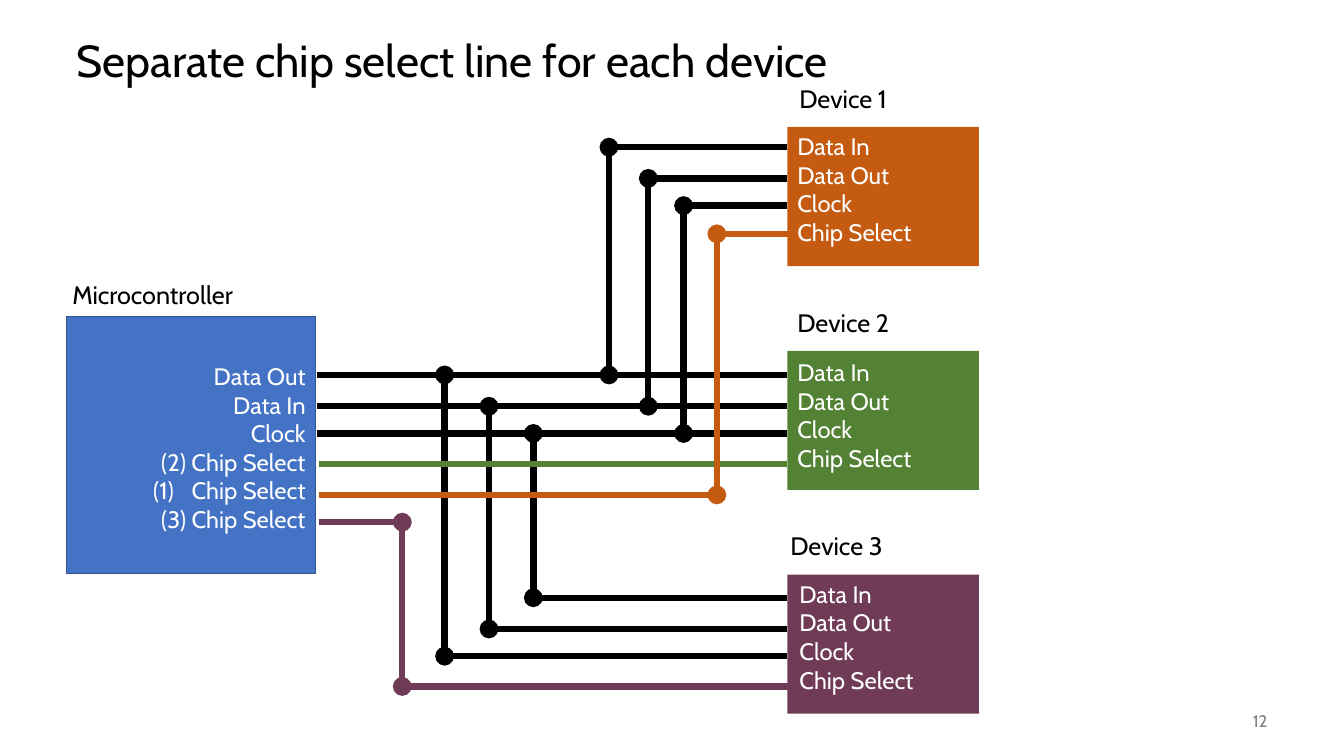
import pptx
import pptx.util
import pptx.dml.color
import pptx.enum.shapes
import pptx.enum.text
import pptx.oxml.ns
import lxml.etree

Inches = pptx.util.Inches
Align = pptx.enum.text.PP_ALIGN
Anchor = pptx.enum.text.MSO_ANCHOR

# Content
TITLE = "Separate chip select line for each device"
PAGE = "12"
HUB = "Microcontroller"
BUS_PINS = ["Data Out", "Data In", "Clock"]
HUB_PINS = [BUS_PINS, ["(2) Chip Select"], ["Chip Select"], ["(3) Chip Select"]]
DEV_PINS = [["Data In", "Data Out", "Clock"], ["Chip Select"]]
# name, colour, box top, name left and top, pins left and top
DEVICES = [
    ("Device 1", "orange", 1.26, (7.83, 0.78), (7.81, 1.26)),
    ("Device 2", "green", 3.48, (7.81, 3.0), (7.81, 3.5)),
    ("Device 3", "plum", 5.7, (7.74, 5.21), (7.83, 5.7)),
]
COLORS = {
    "black": "000000", "white": "FFFFFF", "gray": "808080",
    "blue": "4472C4", "navy": "325491",
    "orange": "C55A11", "green": "548235", "plum": "703B56",
}

# Layout
HUB_BOX = (0.66, 3.14, 2.47, 2.55)
HUB_EDGE, CHIP_EDGE, DEV_LEFT = 3.14, 3.16, 7.81
DEV_W, DEV_H = 1.9, 1.38
BUS_ROWS = [3.72, 4.03, 4.3]
UP_TAPS, RISE = [6.04, 6.43, 6.78], 2.26
DOWN_TAPS, DROP = [4.41, 4.85, 5.29], 2.21
# Corner points of each chip select wire
CHIP_WIRES = [
    ("green", [(CHIP_EDGE, 4.6), (DEV_LEFT, 4.6)]),
    ("orange", [(CHIP_EDGE, 4.91), (7.11, 4.91), (7.11, 2.32), (7.83, 2.32)]),
    ("plum", [(CHIP_EDGE, 5.18), (3.99, 5.18), (3.99, 6.81), (7.83, 6.81)]),
]

deck = pptx.Presentation()
deck.slide_width, deck.slide_height = Inches(13.33), Inches(7.5)
slide = deck.slides.add_slide(deck.slide_layouts[6])
for holder in list(slide.placeholders):
    holder.element.getparent().remove(holder.element)


def rgb(name):
    return pptx.dml.color.RGBColor.from_string(COLORS[name])


def add_sub(parent, tag, **attrs):
    node = lxml.etree.SubElement(parent, pptx.oxml.ns.qn(tag))
    for key, value in attrs.items():
        node.set(key, value)
    return node


def add_text(box, paras, size, color="black", align=Align.LEFT, mid=False):
    """Each paragraph is a list of lines joined by line breaks."""
    shape = slide.shapes.add_textbox(*map(Inches, box))
    frame = shape.text_frame
    frame.word_wrap = True
    frame.vertical_anchor = Anchor.MIDDLE if mid else Anchor.TOP
    for i, lines in enumerate(paras):
        para = frame.add_paragraph() if i else frame.paragraphs[0]
        para.alignment = align
        for j, line in enumerate(lines):
            if j:
                para.add_line_break()
            run = para.add_run()
            run.text = line
            run.font.name = "Cabin"
            run.font.size = pptx.util.Pt(size)
            run.font.color.rgb = rgb(color)
    return frame


def add_box(box, fill, edge=None):
    shape = slide.shapes.add_shape(
        pptx.enum.shapes.MSO_SHAPE.RECTANGLE, *map(Inches, box))
    shape.shadow.inherit = False
    shape.fill.solid()
    shape.fill.fore_color.rgb = rgb(fill)
    if edge:
        shape.line.color.rgb = rgb(edge)
        shape.line.width = pptx.util.Pt(1)
    else:
        shape.line.fill.background()


def add_wire(start, end, color="black"):
    """Upright wires carry a dot at both ends."""
    wire = slide.shapes.add_connector(
        pptx.enum.shapes.MSO_CONNECTOR.STRAIGHT, *map(Inches, start + end))
    wire.line.color.rgb = rgb(color)
    wire.line.width = pptx.util.Pt(4.5)
    if start[0] == end[0]:
        line = wire.line._get_or_add_ln()
        add_sub(line, "a:headEnd", type="oval")
        add_sub(line, "a:tailEnd", type="oval")
    add_sub(wire._element.spPr, "a:effectLst")


# Title and page number
title = add_text((0.66, 0.25, 12, 0.75), [[TITLE]], 32, mid=True)
title.paragraphs[0].line_spacing = 0.9
add_text((11.67, 6.95, 1, 0.4), [[PAGE]], 12, "gray", Align.RIGHT, True)

# Boxes
add_box(HUB_BOX, "blue", "navy")
for name, color, top, spot, pins in DEVICES:
    add_box((DEV_LEFT, top, DEV_W, DEV_H), color)

# Shared bus, with taps up to device 1 and down to device 3
for row in BUS_ROWS:
    add_wire((HUB_EDGE, row), (DEV_LEFT, row))
drops = [row + DROP for row in reversed(BUS_ROWS)]
rises = [row - RISE for row in BUS_ROWS]
for taps, ends in ((UP_TAPS, rises), (DOWN_TAPS, drops)):
    for x, row, end in zip(taps, BUS_ROWS, ends):
        add_wire((x, end), (DEV_LEFT, end))
        add_wire((x, row), (x, end))

# Chip select wires
for color, points in CHIP_WIRES:
    for start, end in zip(points, points[1:]):
        add_wire(start, end, color)

# Microcontroller labels
add_text((0.62, 2.72, 2.47, 0.4), [[HUB]], 18)
hub = add_text((0.86, 3.54, 2.27, 1.82), HUB_PINS, 17, "white", Align.RIGHT)
first = hub.paragraphs[2]._p.get_or_add_pPr()
first.set("marL", str(Inches(0.38)))
first.set("indent", str(Inches(-0.38)))
add_sub(first, "a:buAutoNum", type="arabicParenBoth")
third = hub.paragraphs[3]
third.level = 1
third._p.get_or_add_pPr().set("marL", str(Inches(0.5)))

# Device labels
for name, color, top, spot, pins in DEVICES:
    add_text((*spot, DEV_W, 0.4), [[name]], 18)
    add_text((*pins, DEV_W, 1.25), DEV_PINS, 17, "white")

deck.save("out.pptx")
